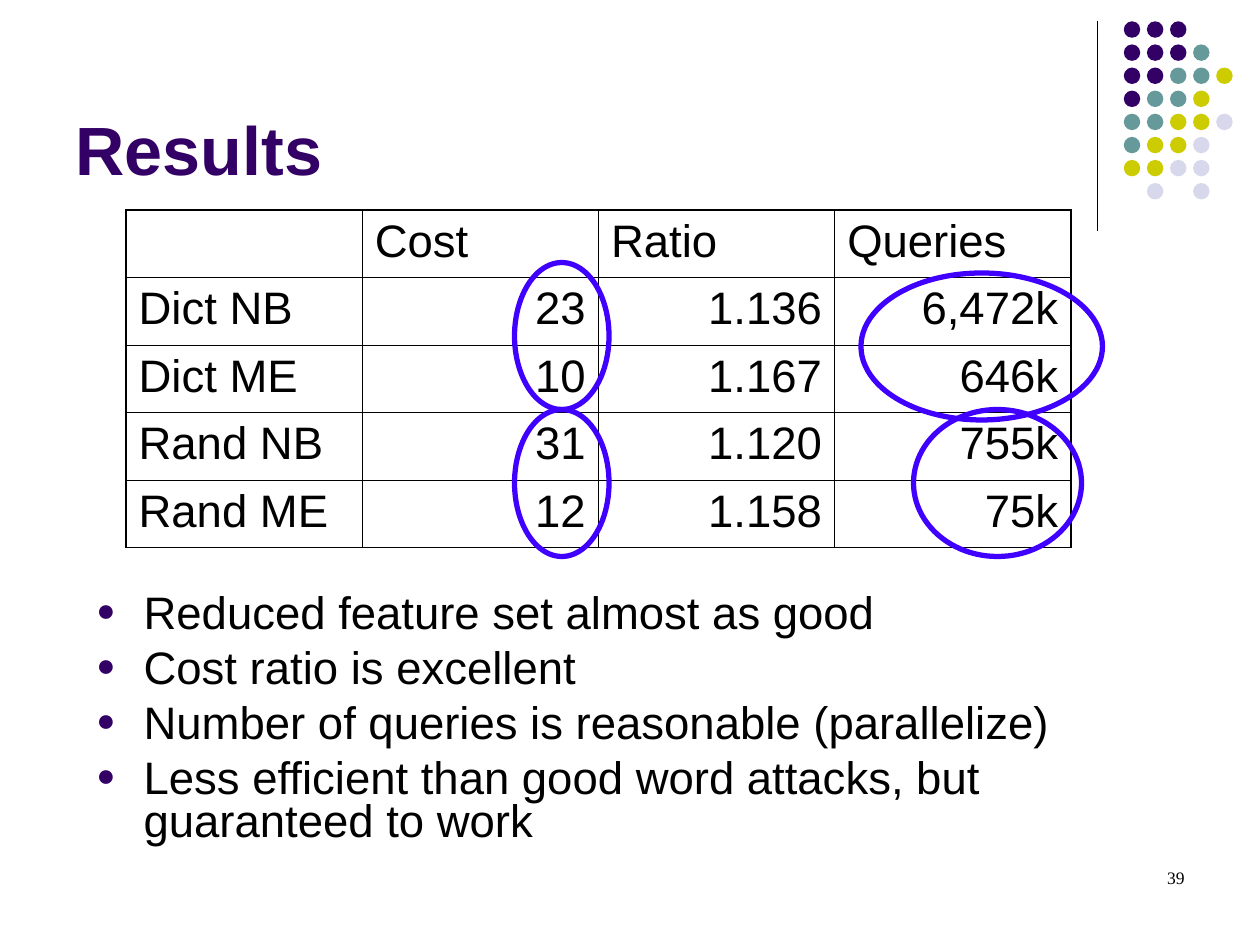
from lxml.etree import SubElement
from pptx import Presentation
from pptx.dml.color import RGBColor
from pptx.enum.shapes import MSO_CONNECTOR, MSO_SHAPE
from pptx.enum.text import MSO_ANCHOR, PP_ALIGN
from pptx.oxml.ns import qn
from pptx.util import Pt

BLACK = RGBColor(0x00, 0x00, 0x00)
PURPLE = RGBColor(0x33, 0x00, 0x66)
TEAL = RGBColor(0x66, 0x99, 0x99)
YELLOW = RGBColor(0xCC, 0xCC, 0x00)
LAVENDER = RGBColor(0xD8, 0xD8, 0xEC)
BLUE = RGBColor(0x3F, 0x00, 0xFF)

TITLE = "Results"
RESULTS = [
    ("", "Cost", "Ratio", "Queries"),
    ("Dict NB", "23", "1.136", "6,472k"),
    ("Dict ME", "10", "1.167", "646k"),
    ("Rand NB", "31", "1.120", "755k"),
    ("Rand ME", "12", "1.158", "75k"),
]
FINDINGS = [
    "Reduced feature set almost as good",
    "Cost ratio is excellent",
    "Number of queries is reasonable (parallelize)",
    "Less efficient than good word attacks, but guaranteed to work",
]
SLIDE_NUMBER = "39"

# left, top, width, height in points
HIGHLIGHTS = [(294, 150, 54, 84), (294, 234, 54, 84), (492, 156, 138, 84), (522, 234, 96, 84)]

DOT_ROWS = ["PPP", "PPPT", "PPTTY", "PTTY", "TTYYL", "TYYL", "YYLL", " L L"]
DOT_COLORS = {"P": PURPLE, "T": TEAL, "Y": YELLOW, "L": LAVENDER}
DOT_LEFT, DOT_TOP, DOT_SIZE, DOT_PITCH = 642.2, 12.2, 9.4, 13.2

TABLE_LEFT, TABLE_TOP, COLUMN_WIDTH, ROW_HEIGHT = 72, 120, 135, 38.6
OUTER_LINE, INNER_LINE = 1.08, 0.45


def add_run(paragraph, text, size, color=BLACK, font="Arial", bold=False):
    run = paragraph.add_run()
    run.text = text
    run.font.size = Pt(size)
    run.font.name = font
    run.font.bold = bold
    run.font.color.rgb = color


def add_ellipse(slide, left, top, width, height):
    shape = slide.shapes.add_shape(
        MSO_SHAPE.OVAL, Pt(left), Pt(top), Pt(width), Pt(height))
    shape.shadow.inherit = False
    return shape


def add_text_frame(slide, left, top, width, height):
    box = slide.shapes.add_textbox(Pt(left), Pt(top), Pt(width), Pt(height))
    box.text_frame.word_wrap = True
    return box.text_frame


def add_bullet(paragraph):
    properties = paragraph._p.get_or_add_pPr()
    properties.set("marL", str(Pt(27)))
    properties.set("indent", str(-Pt(27)))
    color = SubElement(properties, qn("a:buClr"))
    SubElement(color, qn("a:srgbClr"), val=str(PURPLE))
    SubElement(properties, qn("a:buSzPct"), val="70000")
    SubElement(properties, qn("a:buFont"), typeface="Arial")
    SubElement(properties, qn("a:buChar"), char="●")


def set_borders(cell, widths):
    for side, width in widths.items():
        line = SubElement(cell._tc.get_or_add_tcPr(), qn(f"a:ln{side}"), w=str(Pt(width)))
        fill = SubElement(line, qn("a:solidFill"))
        SubElement(fill, qn("a:srgbClr"), val=str(BLACK))


def add_decoration(slide):
    divider = slide.shapes.add_connector(
        MSO_CONNECTOR.STRAIGHT, Pt(627), Pt(12), Pt(627), Pt(132))
    divider.line.color.rgb = BLACK
    divider.line.width = Pt(0.75)
    SubElement(divider._element.spPr, qn("a:effectLst"))
    for row, codes in enumerate(DOT_ROWS):
        for column, code in enumerate(codes):
            if code in DOT_COLORS:
                dot = add_ellipse(slide, DOT_LEFT + column * DOT_PITCH,
                                  DOT_TOP + row * DOT_PITCH, DOT_SIZE, DOT_SIZE)
                dot.fill.solid()
                dot.fill.fore_color.rgb = DOT_COLORS[code]
                dot.line.fill.background()


def add_title(slide):
    title = slide.shapes.title
    title.left, title.top, title.width, title.height = Pt(36), Pt(9.5), Pt(594), Pt(102)
    title.text_frame.vertical_anchor = MSO_ANCHOR.BOTTOM
    paragraph = title.text_frame.paragraphs[0]
    paragraph.alignment = PP_ALIGN.LEFT
    add_run(paragraph, TITLE, 39, PURPLE, bold=True)


def add_results(slide):
    row_count, column_count = len(RESULTS), len(RESULTS[0])
    table = slide.shapes.add_table(
        row_count, column_count, Pt(TABLE_LEFT), Pt(TABLE_TOP),
        Pt(column_count * COLUMN_WIDTH), Pt(row_count * ROW_HEIGHT)).table
    table.first_row = table.horz_banding = False
    for column in table.columns:
        column.width = Pt(COLUMN_WIDTH)
    for r, values in enumerate(RESULTS):
        table.rows[r].height = Pt(ROW_HEIGHT)
        for c, value in enumerate(values):
            cell = table.cell(r, c)
            on_edge = {"L": c == 0, "R": c == column_count - 1,
                       "T": r == 0, "B": r == row_count - 1}
            set_borders(cell, {side: OUTER_LINE if edge else INNER_LINE
                               for side, edge in on_edge.items()})
            cell.fill.background()
            if value:
                paragraph = cell.text_frame.paragraphs[0]
                paragraph.space_before = Pt(6.5)
                paragraph.alignment = PP_ALIGN.RIGHT if r and c else PP_ALIGN.LEFT
                add_run(paragraph, value, 26)


def add_findings(slide):
    frame = add_text_frame(slide, 48, 336, 648, 165)
    for index, finding in enumerate(FINDINGS):
        paragraph = frame.add_paragraph() if index else frame.paragraphs[0]
        paragraph.line_spacing = 0.8
        paragraph.space_before = Pt(6.5)
        add_bullet(paragraph)
        add_run(paragraph, finding, 26)


def add_highlights(slide):
    for bounds in HIGHLIGHTS:
        ring = add_ellipse(slide, *bounds)
        ring.fill.background()
        ring.line.color.rgb = BLUE
        ring.line.width = Pt(3)


def add_slide_number(slide):
    paragraph = add_text_frame(slide, 516, 492, 168, 36).paragraphs[0]
    paragraph.alignment = PP_ALIGN.RIGHT
    add_run(paragraph, SLIDE_NUMBER, 10, font="Times New Roman")


def main():
    presentation = Presentation()
    presentation.slide_width, presentation.slide_height = Pt(720), Pt(540)
    slide = presentation.slides.add_slide(presentation.slide_layouts[5])
    add_decoration(slide)
    add_title(slide)
    add_findings(slide)
    add_results(slide)
    add_highlights(slide)
    add_slide_number(slide)
    presentation.save("out.pptx")


if __name__ == "__main__":
    main()
